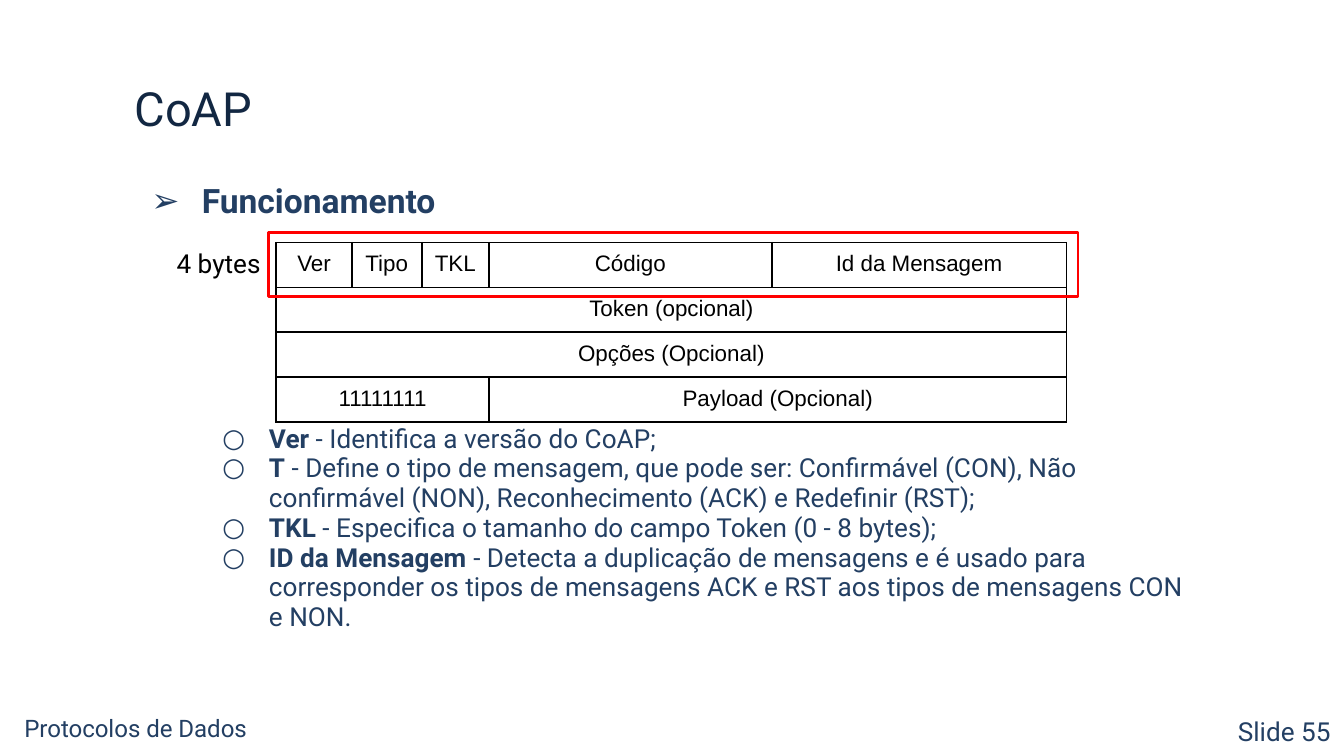
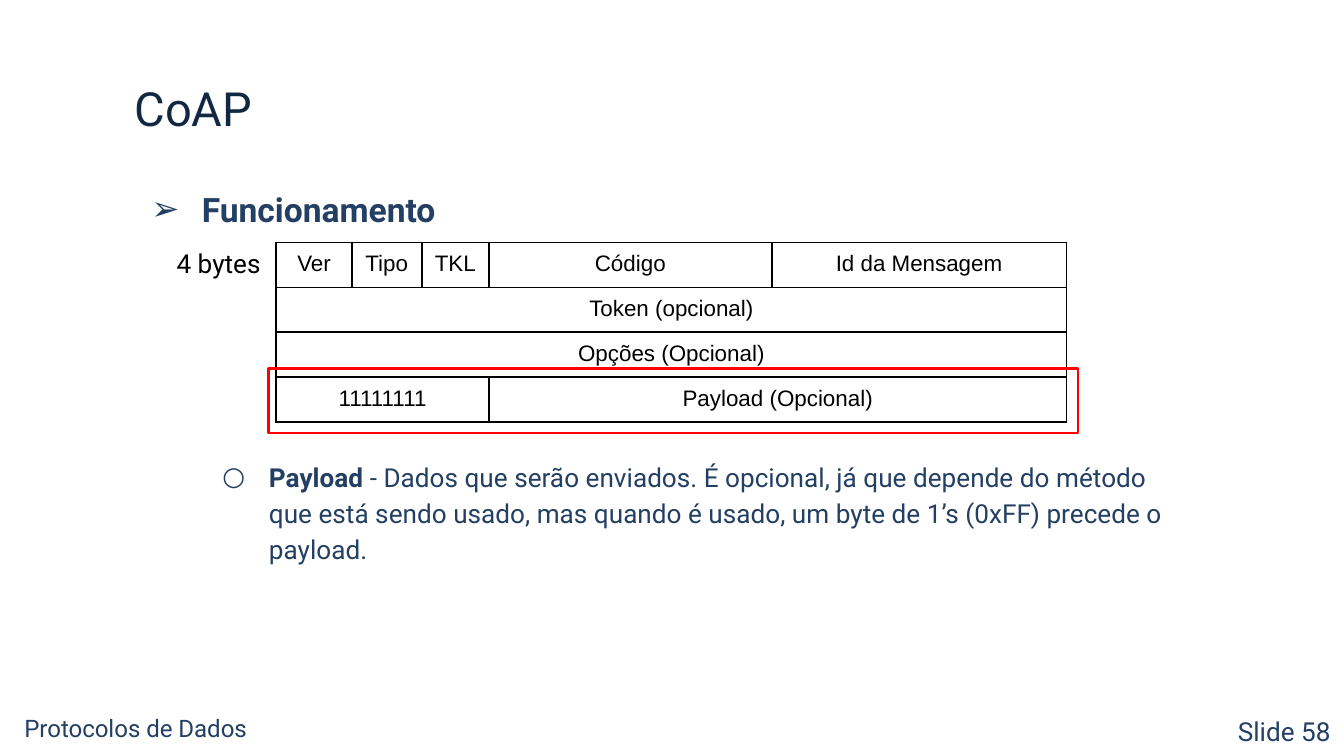
from lxml.etree import SubElement
from pptx import Presentation
from pptx.dml.color import RGBColor
from pptx.enum.shapes import MSO_SHAPE
from pptx.enum.text import MSO_ANCHOR, PP_ALIGN
from pptx.oxml.ns import qn
from pptx.util import Pt

NAVY = RGBColor(0x12, 0x27, 0x42)
BLUE = RGBColor(0x23, 0x3F, 0x63)
BLACK = RGBColor(0, 0, 0)
RED = RGBColor(0xFF, 0, 0)

COLS = [40.5, 37.5, 36, 151.5, 158]
ROW = 23.5
# Each row lists its cells as (text, columns spanned).
PACKET = [
    [("Ver", 1), ("Tipo", 1), ("TKL", 1), ("Código", 1), ("Id da Mensagem", 1)],
    [("Token (opcional)", 5)],
    [("Opções (Opcional)", 5)],
    [("11111111", 3), ("Payload (Opcional)", 2)],
]

# Each slide: number, line spacing, gap under the heading, top of the red frame, fields.
SLIDES = [
    (55, 0.95, 109, 124.5, [
        ("Ver", " - Identifica a versão do CoAP;"),
        ("T", " - Define o tipo de mensagem, que pode ser: Confirmável (CON), "
              "Não confirmável (NON), Reconhecimento (ACK) e Redefinir (RST);"),
        ("TKL", " - Especifica o tamanho do campo Token (0 - 8 bytes);"),
        ("ID da Mensagem ", "- Detecta a duplicação de mensagens e é usado para "
                            "corresponder os tipos de mensagens ACK e RST aos tipos "
                            "de mensagens CON e NON."),
    ]),
    (58, 1.15, 122, 197.5, [
        ("Payload", " - Dados que serão enviados. É opcional, já que depende do "
                    "método que está sendo usado, mas quando é usado, um byte de "
                    "1’s (0xFF) precede o payload."),
    ]),
]


class Deck:
    font = "Roboto"

    def __init__(self):
        self.prs = Presentation()
        self.prs.slide_width, self.prs.slide_height = Pt(720), Pt(405)
        self.slide = None

    def page(self, number):
        """Start a slide with the shared title and footers."""
        self.slide = self.prs.slides.add_slide(self.prs.slide_layouts[6])
        self.text("CoAP", 65, 35.5, 577.5, 45, 25.2, NAVY)
        tag = self.text(f"Slide {number}", 613.5, 378.5, 106.5, 29.5, 14, BLUE, 0.8)
        tag.vertical_anchor = MSO_ANCHOR.MIDDLE
        tag.paragraphs[0].alignment = PP_ALIGN.RIGHT
        self.text("Protocolos de Dados", 6, 376, 319, 29.5, 12.9, BLUE, 0.95)

    def frame(self, x, y, w, h):
        frame = self.slide.shapes.add_textbox(Pt(x), Pt(y), Pt(w), Pt(h)).text_frame
        frame.word_wrap = True
        frame.margin_left = frame.margin_right = Pt(7.2)
        frame.margin_top = frame.margin_bottom = Pt(7.2)
        return frame

    def style(self, font, size, color, bold=False, name=font):
        font.name, font.size, font.bold = name, Pt(size), bold
        font.color.rgb = color

    def text(self, words, x, y, w, h, size, color, space=1.0):
        frame = self.frame(x, y, w, h)
        frame.text = words
        para = frame.paragraphs[0]
        para.line_spacing = space
        self.style(para.runs[0].font, size, color)
        return frame

    def bullet(self, para, mark, left, hang, space):
        props = para._p.get_or_add_pPr()
        props.set("marL", str(Pt(left)))
        props.set("indent", str(-Pt(hang)))
        tint = SubElement(props, qn("a:buClr"))
        SubElement(tint, qn("a:srgbClr"), val=str(BLUE))
        SubElement(props, qn("a:buFont"), typeface=self.font)
        SubElement(props, qn("a:buChar"), char=mark)
        para.line_spacing = space

    def body(self, head, fields, space, gap):
        """Write the heading, then a bullet for each (bold term, meaning) field."""
        frame = self.frame(65, 90.5, 577.5, 269.5)
        frame.text = head
        para = frame.paragraphs[0]
        self.bullet(para, "➢", 36, 27, space)
        self.style(para.runs[0].font, 18, BLUE, True)
        for index, field in enumerate(fields):
            para = frame.add_paragraph()
            para.level = 1
            self.bullet(para, "○", 72, 25, space)
            para.space_before = Pt(0 if index else gap)
            for words, bold in zip(field, (True, False)):
                run = para.add_run()
                run.text = words
                self.style(run.font, 14, BLUE, bold)

    def border(self, cell):
        props = cell._tc.get_or_add_tcPr()
        for index, side in enumerate(("lnL", "lnR", "lnT", "lnB")):
            line = SubElement(props, qn(f"a:{side}"), w=str(Pt(1)))
            fill = SubElement(line, qn("a:solidFill"))
            SubElement(fill, qn("a:srgbClr"), val=str(BLACK))
            props.insert(index, line)

    def table(self, rows, x, y):
        table = self.slide.shapes.add_table(
            len(rows), len(COLS), Pt(x), Pt(y),
            Pt(sum(COLS)), Pt(ROW * len(rows))).table
        table.first_row = table.horz_banding = False
        for col, width in zip(table.columns, COLS):
            col.width = Pt(width)
        for row in table.rows:
            row.height = Pt(ROW)
        for cell in table.iter_cells():
            cell.fill.background()
            self.border(cell)
            cell.margin_left = cell.margin_right = Pt(5)
            cell.margin_top = cell.margin_bottom = Pt(4.8)
        for r, row in enumerate(rows):
            c = 0
            for words, span in row:
                cell = table.cell(r, c)
                if span > 1:
                    cell.merge(table.cell(r, c + span - 1))
                cell.text = words
                para = cell.text_frame.paragraphs[0]
                para.alignment = PP_ALIGN.CENTER
                self.style(para.runs[0].font, 12, BLACK, name="Arial")
                c += span

    def outline(self, x, y, w, h):
        box = self.slide.shapes.add_shape(
            MSO_SHAPE.RECTANGLE, Pt(x), Pt(y), Pt(w), Pt(h))
        box.shadow.inherit = False
        box.fill.background()
        box.line.color.rgb = RED
        box.line.width = Pt(1.5)


def main():
    deck = Deck()
    for number, space, gap, top, fields in SLIDES:
        deck.page(number)
        deck.body("Funcionamento", fields, space, gap)
        deck.table(PACKET, 148, 130)
        deck.text("4 bytes", 87.5, 125.5, 363, 31.5, 14, BLACK)
        deck.outline(144, top, 433.5, 34.5)
    deck.prs.save("out.pptx")


if __name__ == "__main__":
    main()
